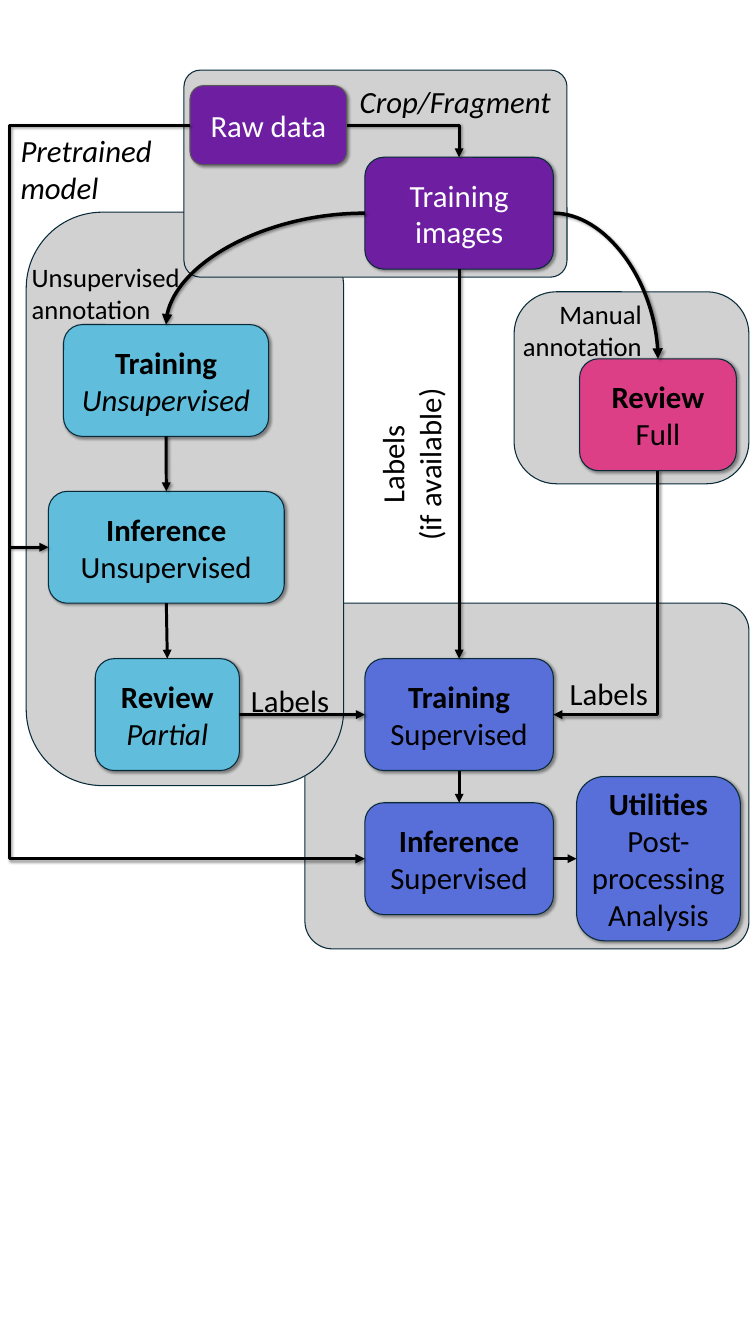
from lxml.etree import SubElement
from pptx import Presentation
from pptx.dml.color import RGBColor
from pptx.enum.shapes import MSO_CONNECTOR, MSO_SHAPE
from pptx.enum.text import MSO_ANCHOR, PP_ALIGN
from pptx.oxml.ns import qn
from pptx.util import Pt

PX = 9144  # 100 px to the inch
COLORS = {
    "panel": "D1D1D1", "edge": "092A39", "raw_edge": "595959",
    "data": "6E1FA1", "unsupervised": "60BEDC", "supervised": "586FD9",
    "manual": "DD3F87", "black": "000000", "white": "FFFFFF",
}
TOP, LEFT, BOTTOM, RIGHT = range(4)  # connection sites of a rounded box
ALIGN = {"l": PP_ALIGN.LEFT, "c": PP_ALIGN.CENTER, "r": PP_ALIGN.RIGHT}


def rgb(name):
    return RGBColor.from_string(COLORS[name])


class Diagram:
    font = "Calibri"
    size = 44

    def __init__(self, slide):
        self.s = slide

    def effects(self, shape, shadow):
        lst = SubElement(shape._element.spPr, qn("a:effectLst"))
        if shadow:
            outer = SubElement(lst, qn("a:outerShdw"), blurRad=str(Pt(4)), dist=str(Pt(3)),
                               dir="2700000", algn="tl", rotWithShape="0")
            color = SubElement(outer, qn("a:srgbClr"), val=COLORS["black"])
            SubElement(color, qn("a:alpha"), val="40000")

    def set_text(self, tf, lines, color, align, size):
        """Each line is a text and its style: "b", "i" or empty."""
        tf.word_wrap = True
        tf.text = "\n".join(text for text, _ in lines)
        for p, (_, style) in zip(tf.paragraphs, lines):
            p.alignment = ALIGN[align]
            for r in p.runs:
                r.font.name, r.font.size = self.font, Pt(size)
                r.font.bold, r.font.italic = style == "b", style == "i"
                r.font.color.rgb = rgb(color)

    def rounded(self, x, y, w, h, fill, radius, edge, shadow):
        sp = self.s.shapes.add_shape(MSO_SHAPE.ROUNDED_RECTANGLE,
                                     x * PX, y * PX, w * PX, h * PX)
        sp.adjustments[0] = radius
        sp.fill.solid()
        sp.fill.fore_color.rgb = rgb(fill)
        sp.line.color.rgb = rgb(edge)
        sp.line.width = Pt(1.5)
        self.effects(sp, shadow)
        return sp

    def panel(self, x, y, w, h, radius):
        self.rounded(x, y, w, h, "panel", radius, "edge", False)

    def box(self, x, y, w, h, fill, *lines, color="black", edge="edge"):
        sp = self.rounded(x, y, w, h, fill, 0.17, edge, True)
        sp.text_frame.vertical_anchor = MSO_ANCHOR.MIDDLE
        self.set_text(sp.text_frame, lines, color, "c", self.size)
        return sp

    def label(self, x, y, w, h, *texts, style="", align="c", size=size, rotation=0):
        tb = self.s.shapes.add_textbox(x * PX, y * PX, w * PX, h * PX)
        tb.rotation = rotation
        self.set_text(tb.text_frame, [(t, style) for t in texts], "black", align, size)

    def style_arrow(self, c, width, shadow):
        c.line.color.rgb = rgb("black")
        c.line.width = Pt(width)
        SubElement(c.line._get_or_add_ln(), qn("a:tailEnd"), type="triangle")
        self.effects(c, shadow)

    def arrow(self, x1, y1, x2, y2):
        c = self.s.shapes.add_connector(MSO_CONNECTOR.STRAIGHT,
                                        x1 * PX, y1 * PX, x2 * PX, y2 * PX)
        self.style_arrow(c, 4.25, True)

    def link(self, start, site1, end, site2, kind=MSO_CONNECTOR.STRAIGHT,
             preset=None, adjust=None, width=4.25, shadow=True):
        c = self.s.shapes.add_connector(kind, 0, 0, 0, 0)
        c.begin_connect(start, site1)
        c.end_connect(end, site2)
        geom = c._element.spPr.find(qn("a:prstGeom"))
        if preset:
            geom.set("prst", preset)
        if adjust is not None:
            SubElement(geom.find(qn("a:avLst")), qn("a:gd"),
                       name="adj1", fmla=f"val {round(adjust * 100000)}")
        # A corner that leaves downwards is a quarter turn of the preset
        if preset and site1 == BOTTOM:
            x, y, w, h = c.left, c.top, c.width, c.height
            c.left, c.top = x + (w - h) // 2, y + (h - w) // 2
            c.width, c.height = h, w
            xfrm = c._element.spPr.find(qn("a:xfrm"))
            xfrm.attrib.pop("flipH", None)
            xfrm.set("rot", "5400000")
        self.style_arrow(c, width, shadow)


def main():
    prs = Presentation()
    prs.slide_width, prs.slide_height = 1500 * PX, 2667 * PX
    d = Diagram(prs.slides.add_slide(prs.slide_layouts[6]))

    # Grey panels behind the stages
    d.panel(605, 1197, 881, 686, 0.08)
    d.panel(52, 421, 630, 1138, 0.24)
    d.panel(365, 139, 760, 411, 0.08)
    d.panel(1020, 579, 466, 381, 0.22)

    # Data
    raw = d.box(377, 170, 311, 157, "data", ("Raw data", ""),
                color="white", edge="raw_edge")
    images = d.box(724, 312, 374, 222, "data", ("Training", ""), ("images", ""),
                   color="white")

    # Unsupervised stage
    train_u = d.box(126, 644, 407, 222, "unsupervised",
                    ("Training", "b"), ("Unsupervised", "i"))
    infer_u = d.box(96, 975, 468, 222, "unsupervised",
                    ("Inference", "b"), ("Unsupervised", ""))
    review_u = d.box(189, 1307, 286, 222, "unsupervised",
                     ("Review", "b"), ("Partial", "i"))

    # Manual stage
    review_m = d.box(1150, 712, 311, 222, "manual", ("Review", "b"), ("Full", ""))

    # Supervised stage
    train_s = d.box(724, 1307, 374, 222, "supervised",
                    ("Training", "b"), ("Supervised", ""))
    infer_s = d.box(724, 1593, 374, 222, "supervised",
                    ("Inference", "b"), ("Supervised", ""))
    utilities = d.box(1144, 1541, 325, 326, "supervised",
                      ("Utilities", "b"), ("Post-processing", ""), ("Analysis", ""))

    # Straight arrows
    d.link(train_u, BOTTOM, infer_u, TOP)
    d.link(infer_u, BOTTOM, review_u, TOP, shadow=False)
    d.link(review_u, RIGHT, train_s, LEFT)
    d.link(images, BOTTOM, train_s, TOP)
    d.link(train_s, BOTTOM, infer_s, TOP, shadow=False)
    d.link(infer_s, RIGHT, utilities, LEFT, shadow=False)
    d.arrow(19, 1086, 96, 1086)

    # Bent and curved arrows
    elbow, curve = MSO_CONNECTOR.ELBOW, MSO_CONNECTOR.CURVE
    d.link(raw, RIGHT, images, TOP, elbow, "bentConnector2")
    d.link(review_m, BOTTOM, train_s, RIGHT, elbow, "bentConnector2")
    d.link(raw, LEFT, infer_s, LEFT, elbow, adjust=-1.03, width=4.5)
    d.link(images, RIGHT, review_m, TOP, curve, "curvedConnector2", width=5)
    d.link(images, LEFT, train_u, TOP, curve, "curvedConnector2", width=5)

    # Labels
    d.label(609, 159, 589, 84, "Crop/Fragment", style="i")
    d.label(31, 257, 368, 158, "Pretrained", "model", style="i", align="l")
    d.label(53, 513, 403, 138, "Unsupervised", "annotation", align="l", size=38)
    d.label(945, 586, 338, 138, "Manual", "annotation", align="r", size=38)
    d.label(443, 1347, 265, 84, "Labels")
    d.label(1048, 1334, 320, 84, "Labels")
    d.label(551, 843, 528, 157, "Labels", "(if available)", rotation=270)

    prs.save("out.pptx")


if __name__ == "__main__":
    main()
